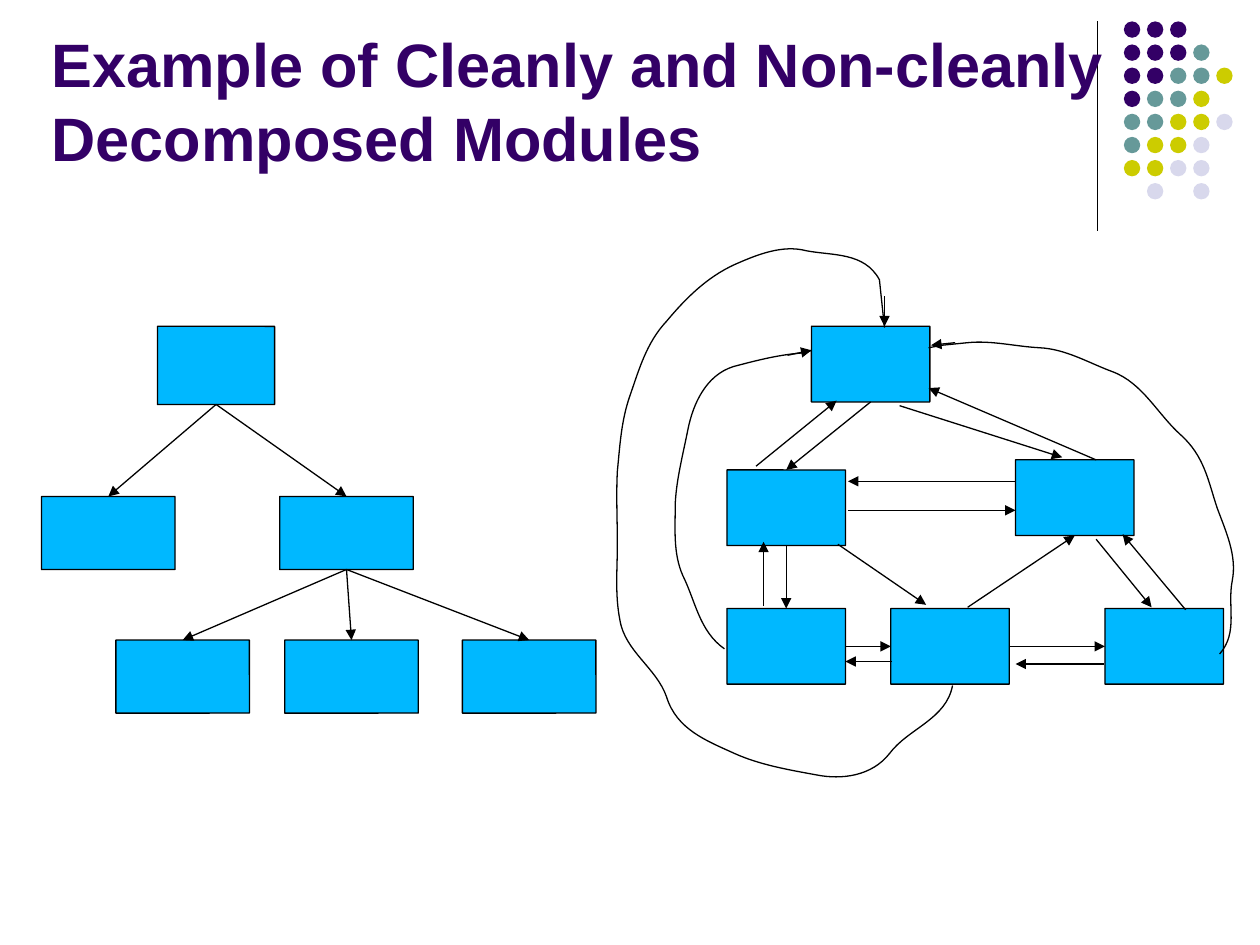
from lxml.etree import SubElement
from pptx import Presentation
from pptx.dml.color import RGBColor
from pptx.enum.shapes import MSO_CONNECTOR, MSO_SHAPE
from pptx.enum.text import MSO_ANCHOR
from pptx.oxml.ns import qn
from pptx.util import Inches, Pt

TITLE = "Example of Cleanly and Non-cleanly Decomposed Modules"
BLACK, MODULE_FILL, TITLE_COLOR = "000000", "00B8FF", "330066"

# One letter per dot, a space where the pattern has a gap
DOT_COLORS = {"P": "330066", "T": "669999", "Y": "CCCC00", "L": "D8D8EC"}
DOT_ROWS = ["PPP", "PPPT", "PPTTY", "PTTY", "TTYYL", "TYYL", "YYLL", " L L"]
DOT_LEFT, DOT_TOP, DOT_SIZE = 8.92, 0.17, 0.13
DOT_STEP = 0.55 / 3

# (width, height) followed by the left and top of each module of that size
MODULES = [
    ((0.93, 0.62), {"clean root": (1.25, 2.59)}),
    ((1.06, 0.58), {
        "clean left": (0.33, 3.94), "clean right": (2.22, 3.94),
        "leaf 1": (0.92, 5.08), "leaf 2": (2.26, 5.08), "leaf 3": (3.67, 5.08),
    }),
    ((0.94, 0.6), {
        "root": (6.44, 2.59), "right": (8.06, 3.65), "left": (5.77, 3.73),
        "low right": (8.77, 4.83), "low middle": (7.07, 4.83), "low left": (5.77, 4.83),
    }),
]

# An end is either a module with one of its sides or a free point
TOP, LEFT, BOTTOM, RIGHT = range(4)
ARROWS = [
    (("clean root", BOTTOM), ("clean left", TOP)),
    (("clean root", BOTTOM), ("clean right", TOP)),
    (("clean right", BOTTOM), ("leaf 1", TOP)),
    (("clean right", BOTTOM), ("leaf 2", TOP)),
    (("clean right", BOTTOM), ("leaf 3", TOP)),
    (("root", BOTTOM), ("left", TOP)),
    ((6.0, 3.7), (6.64, 3.18)),
    ((7.14, 3.22), (8.43, 3.63)),
    ((8.7, 3.65), (7.37, 3.08)),
    ((6.73, 4.05), (8.06, 4.05)),
    ((8.06, 3.82), (6.73, 3.82)),
    (("left", BOTTOM), ("low left", TOP)),
    ((6.06, 4.81), (6.06, 4.3)),
    ((6.65, 4.32), (7.35, 4.8)),
    ((7.68, 4.82), ("right", BOTTOM)),
    ((8.7, 4.28), (9.14, 4.82)),
    ((9.41, 4.84), (8.91, 4.24)),
    (("low left", RIGHT), ("low middle", LEFT)),
    ((7.08, 5.25), (6.71, 5.25)),
    (("low middle", RIGHT), ("low right", LEFT)),
    ((8.76, 5.27), (8.06, 5.27)),
    ((6.25, 2.82), (6.44, 2.78)),
    ((7.58, 2.72), (7.39, 2.74)),
    ((7.02, 2.35), (7.02, 2.59)),
]

# Start point, Bezier segments (two controls and an end), straight finish
LOOPS = [
    ((5.75, 5.15), [
        (5.55, 5.01, 5.52, 4.77, 5.42, 4.57), (5.34, 4.39, 5.36, 4.19, 5.36, 3.99),
        (5.37, 3.8, 5.42, 3.61, 5.46, 3.41), (5.5, 3.21, 5.6, 2.98, 5.82, 2.91),
        (6.01, 2.86, 6.2, 2.81, 6.4, 2.8),
    ], [(6.44, 2.78)]),
    ((9.68, 5.19), [
        (9.83, 5.02, 9.74, 4.81, 9.78, 4.61), (9.82, 4.41, 9.73, 4.22, 9.66, 4.03),
        (9.59, 3.82, 9.56, 3.62, 9.37, 3.45), (9.19, 3.29, 9.07, 3.04, 8.83, 2.95),
        (8.64, 2.88, 8.46, 2.77, 8.25, 2.76), (8.06, 2.75, 7.87, 2.7, 7.68, 2.72),
    ], [(7.48, 2.74), (7.37, 2.76)]),
    ((7.56, 5.44), [
        (7.51, 5.71, 7.21, 5.78, 7.06, 5.98), (6.92, 6.16, 6.68, 6.19, 6.48, 6.15),
        (6.26, 6.11, 6.03, 6.07, 5.83, 5.98), (5.61, 5.88, 5.37, 5.79, 5.29, 5.53),
        (5.21, 5.3, 4.96, 5.17, 4.92, 4.92), (4.88, 4.72, 4.9, 4.52, 4.9, 4.32),
        (4.9, 4.13, 4.89, 3.93, 4.9, 3.74), (4.92, 3.54, 4.93, 3.34, 5, 3.14),
        (5.07, 2.94, 5.13, 2.72, 5.29, 2.55), (5.44, 2.37, 5.61, 2.2, 5.83, 2.1),
        (6.01, 2.02, 6.21, 1.94, 6.4, 1.99), (6.61, 2.03, 6.86, 2, 6.98, 2.22),
    ], [(7, 2.41), (7.02, 2.6)]),
]


def paint(fill, color):
    fill.solid()
    fill.fore_color.rgb = RGBColor.from_string(color)


def outline(shape):
    paint(shape.line.fill, BLACK)
    shape.line.width = Pt(0.75)


def add_filled(page, kind, left, top, width, height, color):
    shape = page.shapes.add_shape(kind, *map(Inches, (left, top, width, height)))
    shape.shadow.inherit = False
    paint(shape.fill, color)
    return shape


def add_line(page, start, end):
    line = page.shapes.add_connector(MSO_CONNECTOR.STRAIGHT, *map(Inches, start + end))
    outline(line)
    SubElement(line.element.spPr, qn("a:effectLst"))
    return line


def add_arrow(page, modules, start, end):
    """Draw an arrow whose ends are free points or joined to module sides."""
    ends = (start, end)
    arrow = add_line(page, *((0, 0) if spot[0] in modules else spot for spot in ends))
    for spot, connect in zip(ends, (arrow.begin_connect, arrow.end_connect)):
        if spot[0] in modules:
            connect(modules[spot[0]], spot[1])
    SubElement(arrow.element.spPr.find(qn("a:ln")), qn("a:tailEnd"), type="triangle")


def add_loop(page, start, curves, finish):
    """Build the outline through all points, then turn each curve's three steps into one Bezier."""
    points = [pair for curve in curves for pair in (curve[:2], curve[2:4], curve[4:])]
    builder = page.shapes.build_freeform(*map(Inches, start))
    builder.add_line_segments([(Inches(x), Inches(y)) for x, y in points + finish], close=False)
    loop = builder.convert_to_shape()
    loop.shadow.inherit = False
    loop.fill.background()
    outline(loop)
    steps = list(loop.element.iter(qn("a:lnTo")))
    for first in range(0, len(points), 3):
        bezier = steps[first].makeelement(qn("a:cubicBezTo"))
        steps[first].addprevious(bezier)
        for step in steps[first:first + 3]:
            bezier.append(step[0])
            step.getparent().remove(step)


def add_title(page):
    box = page.shapes.add_textbox(*map(Inches, (0.41, 0.17, 8.5, 1.25)))
    frame = box.text_frame
    frame.word_wrap = True
    frame.vertical_anchor = MSO_ANCHOR.MIDDLE
    frame.margin_left = frame.margin_top = frame.margin_right = frame.margin_bottom = 0
    span = frame.paragraphs[0].add_run()
    span.text = TITLE
    span.font.name, span.font.size, span.font.bold = "Arial", Pt(35), True
    span.font.color.rgb = RGBColor.from_string(TITLE_COLOR)


def main():
    deck = Presentation()
    deck.slide_width, deck.slide_height = Inches(10), Inches(7.5)
    page = deck.slides.add_slide(deck.slide_layouts[6])

    add_line(page, (8.71, 0.17), (8.71, 1.83))
    for row, letters in enumerate(DOT_ROWS):
        for column, letter in enumerate(letters):
            if letter in DOT_COLORS:
                dot = add_filled(page, MSO_SHAPE.OVAL, DOT_LEFT + column * DOT_STEP,
                                 DOT_TOP + row * DOT_STEP, DOT_SIZE, DOT_SIZE,
                                 DOT_COLORS[letter])
                dot.line.fill.background()
    add_title(page)

    modules = {}
    for size, places in MODULES:
        for name, place in places.items():
            module = add_filled(page, MSO_SHAPE.ROUNDED_RECTANGLE, *place, *size, MODULE_FILL)
            module.adjustments[0] = 0.003
            outline(module)
            modules[name] = module
    for start, end in ARROWS:
        add_arrow(page, modules, start, end)
    for start, curves, finish in LOOPS:
        add_loop(page, start, curves, finish)

    deck.save("out.pptx")


if __name__ == "__main__":
    main()
